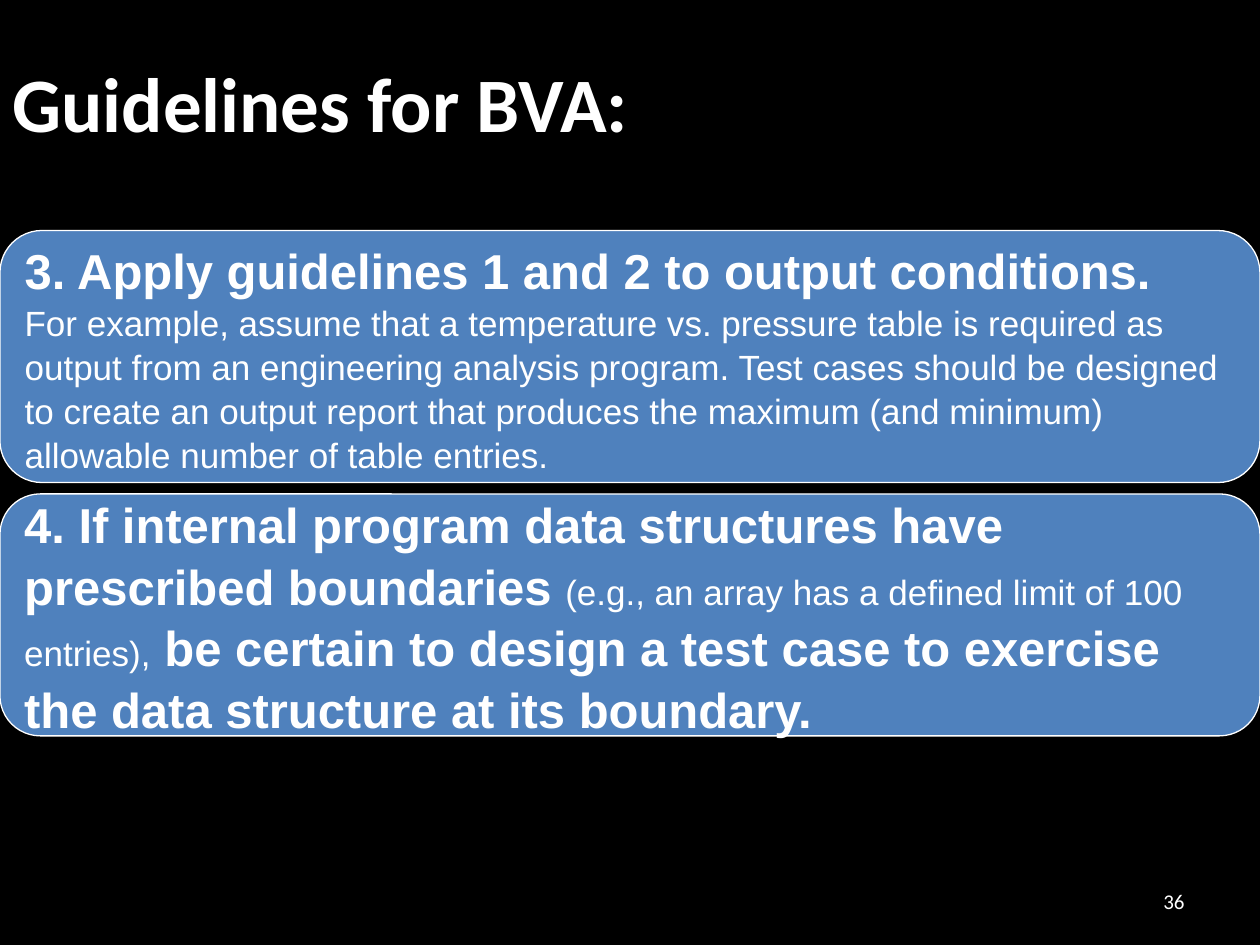
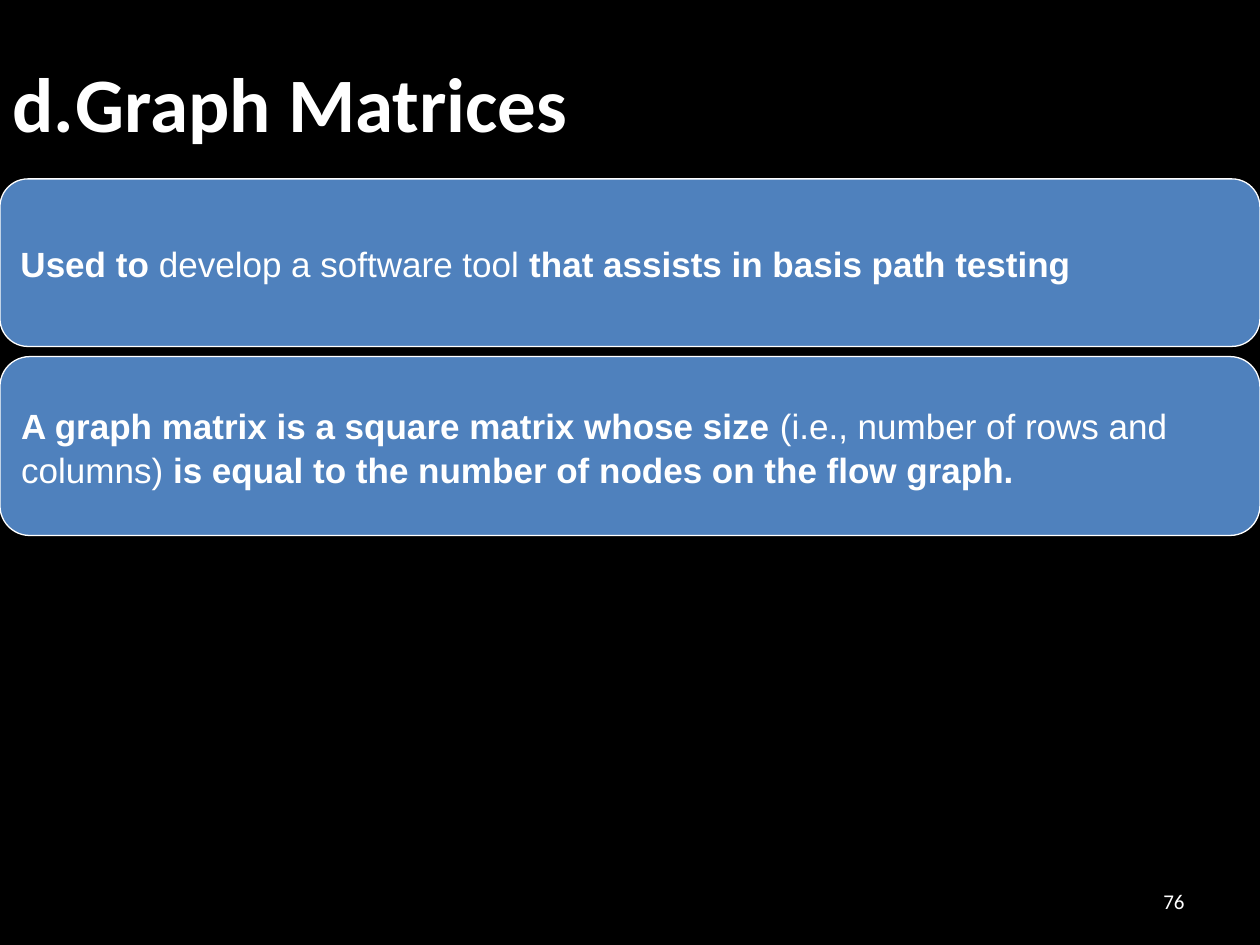
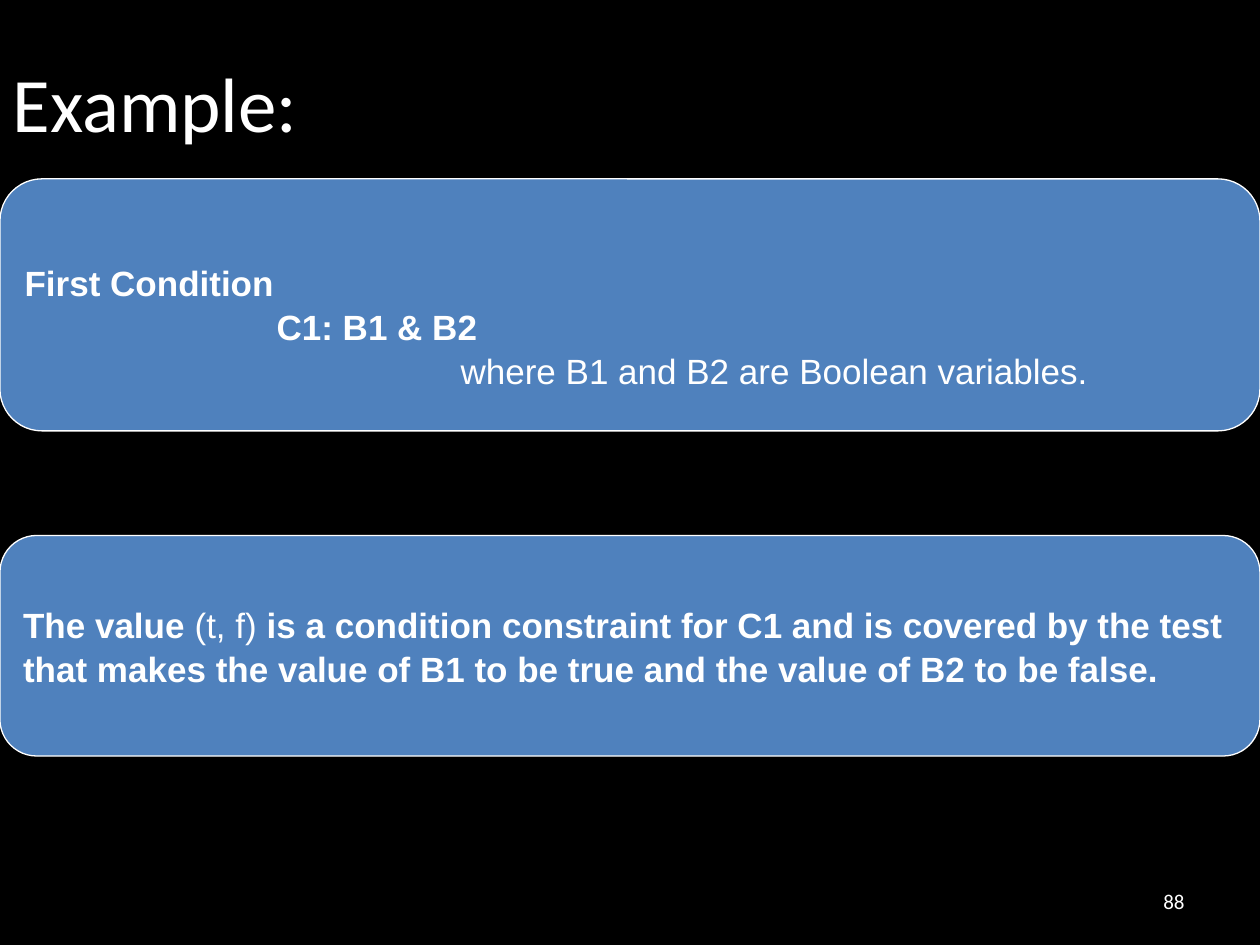
from pptx import Presentation
from pptx.dml.color import RGBColor
from pptx.enum import shapes, text
from pptx.util import Inches, Pt

BLACK = RGBColor(0x00, 0x00, 0x00)
WHITE = RGBColor(0xFF, 0xFF, 0xFF)
BLUE = RGBColor(0x4F, 0x81, 0xBD)

# Shared text formats
TITLE = {"name": "Calibri", "size": Pt(44), "bold": True}
PLAIN_TITLE = TITLE | {"bold": False}
NUMBER = {"name": "Calibri", "size": Pt(12), "bold": False}
BODY = {"name": "Arial", "size": Pt(20), "bold": False}
STRONG = BODY | {"bold": True}
LARGE = STRONG | {"size": Pt(28)}

# Each panel: top, height, top inset, paragraphs as (indent, [(words, format)])
SLIDES = [
    ("Guidelines for BVA:", TITLE, "36", [
        (1.83, 2, 0.05, [
            (0, [("3. Apply guidelines 1 and 2 to output conditions.", LARGE)]),
            (0, [("For example, assume that a temperature vs. pressure table is "
                  "required as output from an engineering analysis program. Test "
                  "cases should be designed to create an output report that produces "
                  "the maximum (and minimum) allowable number of table entries.", BODY)]),
        ]),
        (3.92, 1.92, 0.05, [
            (0, [("4. If internal program data structures have prescribed boundaries ", LARGE),
                 ("(e.g., an array has a defined limit of 100 entries),", BODY),
                 (" be certain to design a test case to exercise the data structure "
                  "at its boundary.", LARGE)]),
        ]),
    ]),
    ("d.\tGraph Matrices", TITLE, "76", [
        (1.42, 1.33, 0.05, [
            (0, [("Used to ", STRONG), ("develop a software tool", BODY),
                 (" that assists in basis path testing", STRONG)]),
        ]),
        (2.83, 1.42, 0.05, [
            (0, [("A graph matrix is a square matrix whose size ", STRONG),
                 ("(i.e., number of rows and columns)", BODY),
                 (" is equal to the number of nodes on the flow graph.", STRONG)]),
        ]),
    ]),
    ("Example:", PLAIN_TITLE, "88", [
        (1.42, 2, 0.38, [
            (0, [("First Condition", STRONG)]),
            (2, [("C1: B1 & B2", STRONG)]),
            (3.46, [("where B1 and B2 are Boolean variables.", BODY)]),
        ]),
        (4.25, 1.75, 0.05, [
            (0, [("The value ", STRONG), ("(t, f)", BODY),
                 (" is a condition constraint for C1 and is covered by the test that "
                  "makes the value of B1 to be true and the value of B2 to be false.", STRONG)]),
        ]),
    ]),
]


def add_span(para, words, style):
    span = para.add_run()
    span.text = words
    span.font.color.rgb = WHITE
    for key, value in style.items():
        setattr(span.font, key, value)


def set_frame(box, top_inset=0.05):
    frame = box.text_frame
    frame.word_wrap = True
    frame.auto_size = text.MSO_AUTO_SIZE.NONE
    frame.vertical_anchor = text.MSO_ANCHOR.MIDDLE
    frame.margin_left = frame.margin_right = Inches(0.1)
    frame.margin_top, frame.margin_bottom = Inches(top_inset), Inches(0.05)
    return frame


deck = Presentation()
deck.slide_width, deck.slide_height = Inches(10), Inches(7.5)
background = deck.slide_master.background.fill
background.solid()
background.fore_color.rgb = BLACK

for heading, heading_style, number, panels in SLIDES:
    page = deck.slides.add_slide(deck.slide_layouts[5])

    # Title
    title = page.shapes.title
    title.left, title.top = Inches(0), Inches(0)
    title.width, title.height = Inches(8.5), Inches(1.61)
    para = set_frame(title).paragraphs[0]
    para.alignment = text.PP_ALIGN.LEFT
    add_span(para, heading, heading_style)

    # Page number
    footer = page.shapes.add_textbox(Inches(7.17), Inches(6.95), Inches(2.33), Inches(0.4))
    para = set_frame(footer).paragraphs[0]
    para.alignment = text.PP_ALIGN.RIGHT
    add_span(para, number, NUMBER)

    # Full-width rounded panels
    for top, height, top_inset, lines in panels:
        panel = page.shapes.add_shape(shapes.MSO_SHAPE.ROUNDED_RECTANGLE,
                                      Inches(0), Inches(top), deck.slide_width, Inches(height))
        panel.shadow.inherit = False
        panel.fill.solid()
        panel.fill.fore_color.rgb = BLUE
        panel.line.color.rgb = WHITE
        panel.line.width = Pt(0.75)
        frame = set_frame(panel, top_inset)
        for index, (indent, spans) in enumerate(lines):
            para = frame.add_paragraph() if index else frame.paragraphs[0]
            para.alignment = text.PP_ALIGN.LEFT
            para.line_spacing = 1.05
            if indent:
                para._p.get_or_add_pPr().set("marL", str(Inches(indent)))
            for words, style in spans:
                add_span(para, words, style)

deck.save("out.pptx")
